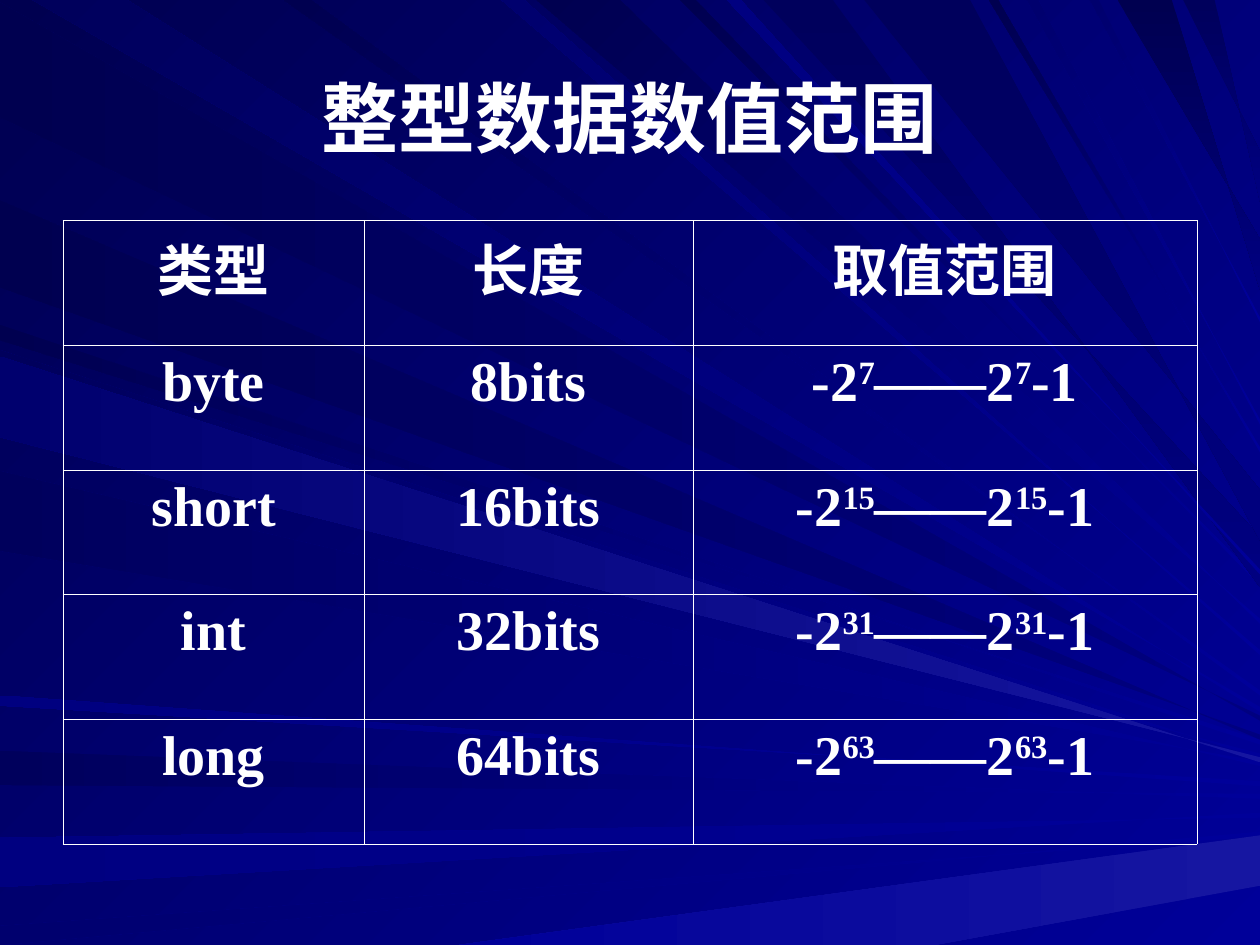
from lxml.etree import SubElement as Sub
from pptx import Presentation
from pptx.dml.color import RGBColor as RGB
from pptx.enum.text import MSO_ANCHOR as Anchor, PP_ALIGN as Align
from pptx.oxml.ns import qn
from pptx.util import Inches, Pt

WHITE = RGB.from_string("FFFFFF")
GLOW = RGB.from_string("1616A1")
BLUE = RGB.from_string("000099")
NAVY = RGB.from_string("000080")
DIM = RGB.from_string("00006E")
DARK = RGB.from_string("00005C")
DEEP = RGB.from_string("000050")

WIDE, HIGH = 10, 7.5

# Each ray runs from a span on one edge to a height on the right edge:
# edge, span start, span end, height, first and last colour
RAYS = [
    ("left", 0.02, 0.93, 5.7, NAVY, DEEP),
    ("top", 0.26, 1.01, 5.63, BLUE, DARK),
    ("left", 5.96, 6.23, 6.32, BLUE, DARK),
    ("left", 6.65, 7.04, 6.47, BLUE, NAVY),
    ("left", 7.35, 7.5, 6.62, BLUE, DIM),
    ("low", 3.64, 7.42, 6.83, GLOW, BLUE),
    ("left", 2.58, 2.7, 5.89, BLUE, DEEP),
    ("left", 1.59, 2.28, 5.85, NAVY, DEEP),
    ("top", 3.98, 4.16, 5.18, BLUE, DIM),
    ("top", 4.26, 4.92, 4.93, BLUE, DEEP),
    ("top", 5.4, 5.52, 4.63, BLUE, DEEP),
    ("top", 6.06, 6.61, 4.46, DARK, NAVY),
    ("top", 8.87, 9.3, 2.1, DEEP, NAVY),
    ("top", 9.39, 9.64, 1.4, DARK, NAVY),
    ("left", 2.78, 3.42, 6, BLUE, DARK),
    ("left", 3.74, 4.37, 6.06, BLUE, DARK),
    ("left", 5.52, 5.6, 6.22, BLUE, NAVY),
    ("top", 2.25, 2.47, 5.5, BLUE, DEEP),
    ("top", 5.77, 5.88, 4.54, BLUE, NAVY),
    ("top", 6.86, 7.7, 4.09, DARK, NAVY),
    ("top", 7.85, 7.92, 3.57, BLUE, DEEP),
    ("top", 8.15, 8.24, 3.35, BLUE, DIM),
    ("top", 8.65, 8.72, 2.54, BLUE, DIM),
    ("left", 2.83, 3.47, 6.03, GLOW, DIM),
]

HEAD = {"name": "Arial", "size": Pt(44), "bold": True}
BODY = {"name": "Times New Roman", "size": Pt(32), "bold": True}


def shade(fill, start, end, angle):
    """Fill with a two-stop gradient; the angle runs clockwise."""
    fill.gradient()
    fill.gradient_angle = 360 - angle
    for stop, tone in zip(fill.gradient_stops, (start, end)):
        stop.color.rgb = tone


def write(para, text, form):
    """Add centred white runs; every second part between bars is raised."""
    para.alignment = Align.CENTER
    for i, part in enumerate(text.split("|")):
        run = para.add_run()
        run.text = part
        for key, val in form.items():
            setattr(run.font, key, val)
        run.font.color.rgb = WHITE
        if i % 2:
            run.font._element.set("baseline", "30000")


deck = Presentation()
deck.slide_width, deck.slide_height = Inches(WIDE), Inches(HIGH)
slide = deck.slides.add_slide(deck.slide_layouts[5])

# Background and rays
shade(slide.background.fill, BLUE, DEEP, 225)
group = slide.shapes.add_group_shape()
for edge, near, far, tip, start, end in RAYS:
    if edge == "left":
        ends = [(0, near), (0, far)]
    else:
        base = 0 if edge == "top" else HIGH
        ends = [(near, base), (far, base)]
    # Rays that fade to navy from the top open out at the right edge
    flare = 0.2 if edge != "left" and start in (DARK, DEEP, GLOW) else 0.02
    sides = [(WIDE, tip + flare), (WIDE, tip - flare)]
    if edge != "top":
        sides.reverse()
    if edge == "top":
        ends.reverse()
        sides.reverse()
    if edge == "left":
        ends.reverse()
        sides.reverse()
    if edge == "low":
        sides.reverse()
    pts = [(Inches(x), Inches(y)) for x, y in ends + sides]
    pen = group.shapes.build_freeform(*pts[0])
    pen.add_line_segments(pts[1:], close=True)
    ray = pen.convert_to_shape()
    ray.shadow.inherit = False
    ray.line.fill.background()
    angle = 180 if edge != "top" else 225 if start == BLUE else 90
    shade(ray.fill, start, end, angle)

# Title, brought in front of the rays
title = slide.shapes.title
title.left, title.top = Inches(0.5), Inches(0.3)
title.width, title.height = Inches(9), Inches(1.25)
title.text_frame.vertical_anchor = Anchor.MIDDLE
write(title.text_frame.paragraphs[0], "整型数据数值范围", HEAD)
title.element.getparent().append(title.element)

# Table of integer types
rows = [("类型", "长度", "取值范围")]
for kind, bits in (("byte", 8), ("short", 16), ("int", 32), ("long", 64)):
    rows.append((kind, f"{bits}bits", f"-2|{bits - 1}|——2|{bits - 1}|-1"))

frame = slide.shapes.add_table(
    len(rows), 3, Inches(0.5), Inches(1.75), Inches(9), Inches(4.95))
table = frame.table
table.first_row = table.horz_banding = False
for col, wide in zip(table.columns, (2.39, 2.61, 4)):
    col.width = Inches(wide)

for row, texts in zip(table.rows, rows):
    row.height = Inches(0.99)
    for cell, text in zip(row.cells, texts):
        para = cell.text_frame.paragraphs[0]
        write(para, text, BODY)
        props = para._p.get_or_add_pPr()
        props.set("marL", str(Inches(0.38)))
        props.set("indent", str(-Inches(0.38)))
        # Borders come before the fill in the cell properties
        edges = cell._tc.get_or_add_tcPr()
        for side in ("lnL", "lnR", "lnT", "lnB"):
            line = Sub(edges, qn(f"a:{side}"), w=str(Pt(0.45)))
            paint = Sub(line, qn("a:solidFill"))
            Sub(paint, qn("a:srgbClr"), val=str(WHITE))
        cell.fill.background()

deck.save("out.pptx")
